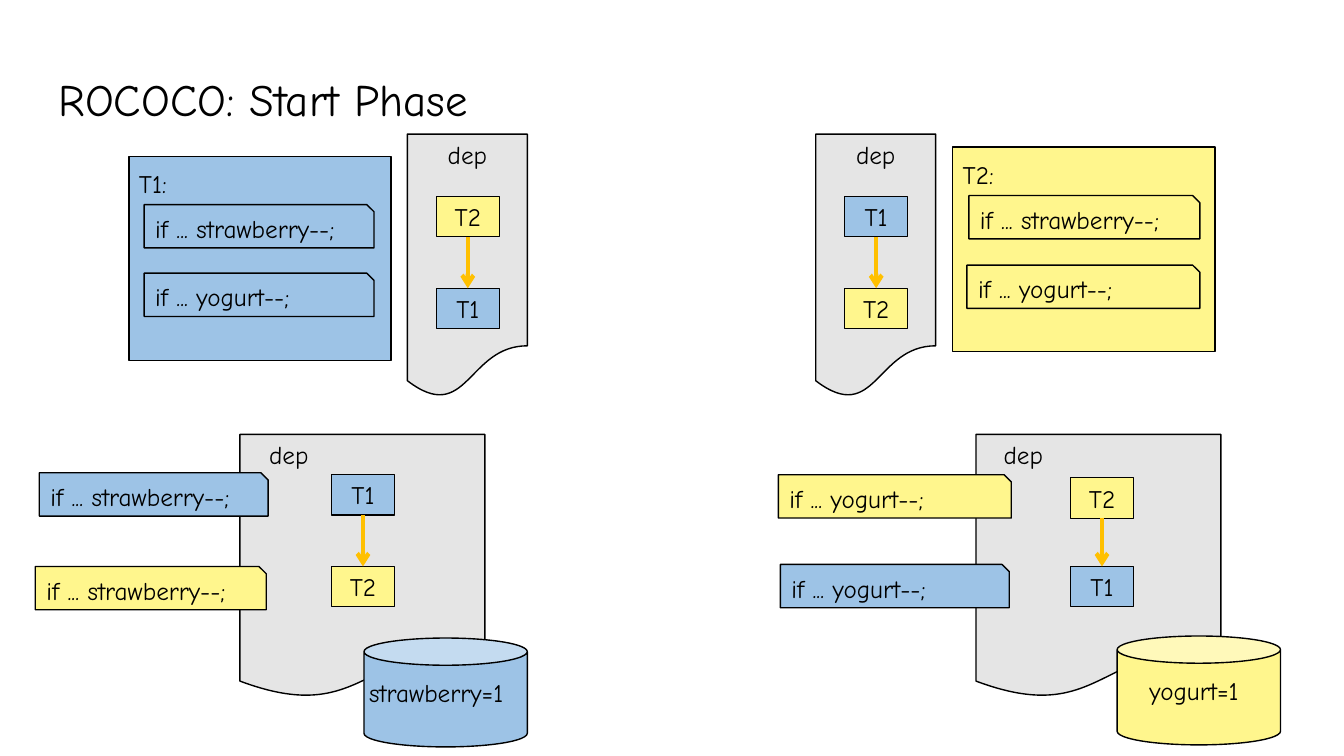
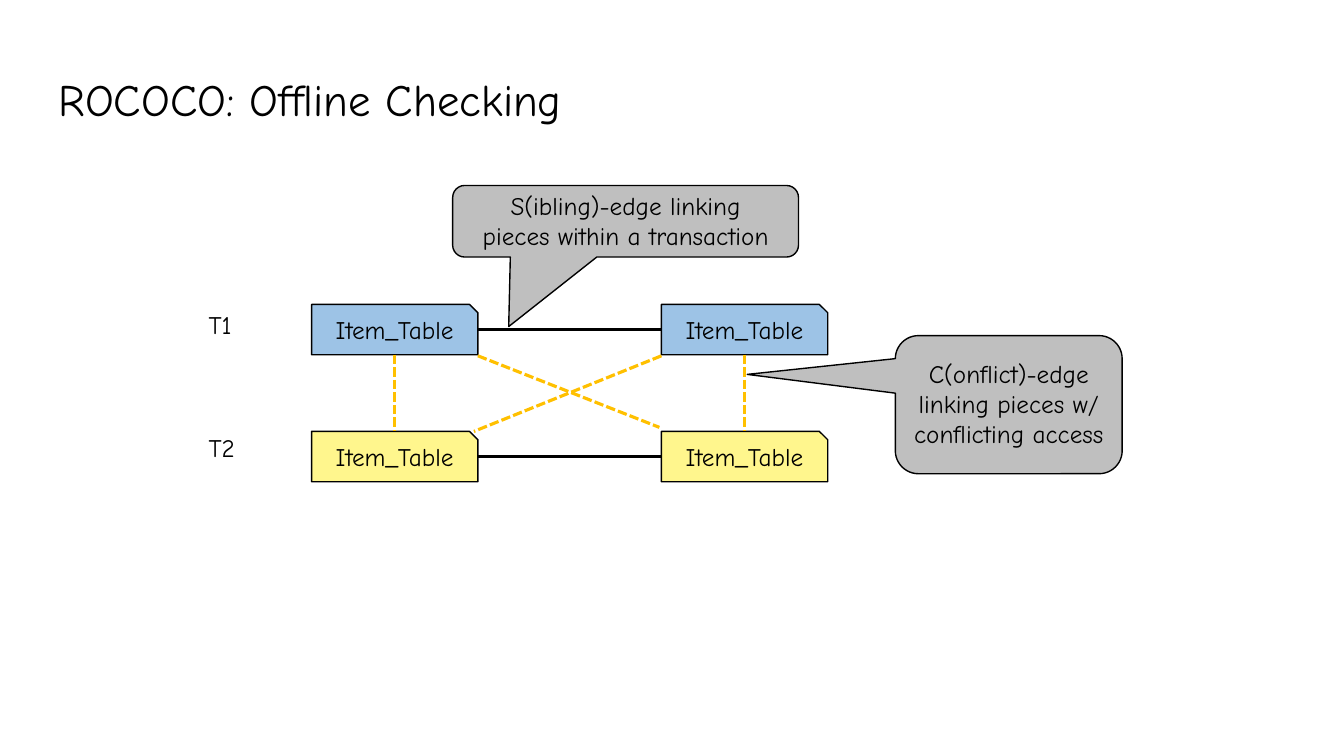
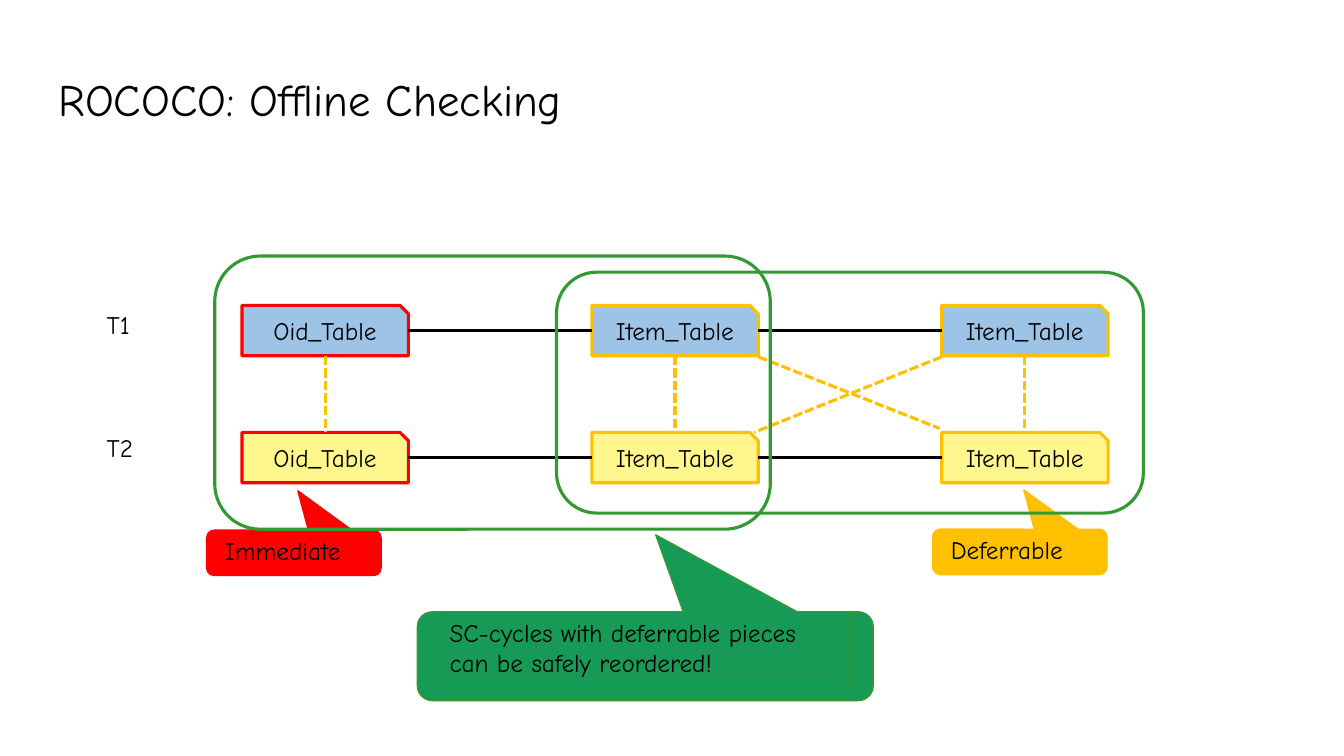
import dataclasses

import pptx
import pptx.dml.color
import pptx.enum.dml
import pptx.enum.shapes
import pptx.enum.text
import pptx.oxml
import pptx.oxml.ns
import pptx.util

Inches = pptx.util.Inches
Pt = pptx.util.Pt
SHAPE = pptx.enum.shapes.MSO_SHAPE
ALIGN = pptx.enum.text.PP_ALIGN
ANCHOR = pptx.enum.text.MSO_ANCHOR
TOP, LEFT, BOTTOM, RIGHT = range(4)


@dataclasses.dataclass(frozen=True)
class Theme:
    font: str = "Comic Neue"
    title_size: int = 32
    body_size: int = 18
    black: str = "000000"
    blue: str = "9DC3E6"
    yellow: str = "FFF68D"
    paper: str = "E5E5E5"
    gray: str = "BFBFBF"
    amber: str = "FFC000"
    red: str = "FF0000"
    green: str = "169A55"
    green_line: str = "339933"
    thin: float = 0.75
    normal: float = 1
    thick: float = 2.25
    arrow: float = 3


THEME = Theme()
FILLS = {"T1": THEME.blue, "T2": THEME.yellow}

# Start phase: left, top, width, label width, node left, node tops, node order
DEP_SHEETS = [
    (8.09, 1.33, 1.19, 1.19, 8.38, (1.95, 2.86), ("T1", "T2")),
    (9.68, 4.31, 2.43, 0.94, 10.62, (4.74, 5.62), ("T2", "T1")),
    (2.38, 4.31, 2.43, 0.97, 3.29, (4.71, 5.62), ("T1", "T2")),
    (4.04, 1.33, 1.19, 1.19, 4.33, (1.95, 2.86), ("T2", "T1")),
]
# left, top, transaction
TRANSACTIONS = [(1.28, 1.55, "T1"), (9.45, 1.46, "T2")]
# left, top, width, transaction, item
STEPS = [
    (1.43, 2.03, 2.28, "T1", "strawberry"),
    (1.43, 2.71, 2.28, "T1", "yogurt"),
    (9.61, 1.94, 2.29, "T2", "strawberry"),
    (9.59, 2.63, 2.31, "T2", "yogurt"),
    (0.39, 4.69, 2.27, "T1", "strawberry"),
    (0.35, 5.62, 2.29, "T2", "strawberry"),
    (7.72, 4.71, 2.31, "T2", "yogurt"),
    (7.74, 5.6, 2.27, "T1", "yogurt"),
]
# left, top, text indent, fill, text
STORES = [
    (3.61, 6.33, 0.05, THEME.blue, "strawberry=1"),
    (11.08, 6.31, 0.32, THEME.yellow, "yogurt=1"),
]

# Offline checking: table name and outline of each column
TWO_PIECES = [("Item_Table", THEME.black)] * 2
THREE_PIECES = [("Oid_Table", THEME.red)] + [("Item_Table", THEME.amber)] * 2
PIECE_WIDTH, PIECE_HEIGHT, COLUMN_STEP = 1.65, 0.5, 3.47
ROW_LABEL_TOPS = {"T1": 3.02, "T2": 4.24}

# left, top, width, height, pointer, fill, lines
EDGE_NOTES = [
    (4.49, 1.84, 3.43, 0.71, (-0.338, 1.472), THEME.gray,
     ["S(ibling)-edge linking", "pieces within a transaction"]),
    (8.88, 3.33, 2.25, 1.37, (-1.153, -0.219), THEME.gray,
     ["C(onflict)-edge", "linking pieces w/", "conflicting access"]),
]
KIND_NOTES = [
    (2.05, 5.26, 1.73, 0.45, THEME.red, "Immediate"),
    (9.25, 5.25, 1.73, 0.45, THEME.amber, "Deferrable"),
]
CYCLES = [(5.52, 2.7, 5.82, 2.39), (2.13, 2.54, 5.51, 2.71)]
CYCLE_NOTE = ["SC-cycles with deferrable pieces", "can be safely reordered!"]
UPWARD = (0.023, -1.368)


def rgb(value):
    return pptx.dml.color.RGBColor.from_string(value)


def style_text(box, lines, align=ALIGN.LEFT, anchor=ANCHOR.MIDDLE,
               margins=(0.1, 0.05, 0.1, 0.05), size=THEME.body_size):
    """Write lines as paragraphs; margins are left, top, right, bottom."""
    frame = box.text_frame
    frame.word_wrap = True
    frame.auto_size = pptx.enum.text.MSO_AUTO_SIZE.NONE
    frame.vertical_anchor = anchor
    (frame.margin_left, frame.margin_top,
     frame.margin_right, frame.margin_bottom) = map(Inches, margins)
    for index, line in enumerate(lines):
        para = frame.add_paragraph() if index else frame.paragraphs[0]
        para.text = line
        para.alignment = align
        para.font.name = THEME.font
        para.font.size = Pt(size)
        para.font.color.rgb = rgb(THEME.black)


def add_box(page, kind, place, fill=None, line=THEME.black,
            weight=THEME.normal, lines=(), **text_style):
    box = page.shapes.add_shape(kind, *map(Inches, place))
    box.shadow.inherit = False
    if fill:
        box.fill.solid()
        box.fill.fore_color.rgb = rgb(fill)
    else:
        box.fill.background()
    box.line.color.rgb = rgb(line)
    box.line.width = Pt(weight)
    style_text(box, lines, **text_style)
    return box


def add_callout(page, place, pointer, fill, line, lines=(), **text_style):
    box = add_box(page, SHAPE.ROUNDED_RECTANGULAR_CALLOUT, place, fill, line,
                  lines=lines, **text_style)
    box.adjustments[0], box.adjustments[1] = pointer


def add_line(page, start, end, color, weight, dashed=False, arrow=False):
    line = page.shapes.add_connector(pptx.enum.shapes.MSO_CONNECTOR.STRAIGHT,
                                     *map(Inches, start + end))
    line.line.color.rgb = rgb(color)
    line.line.width = Pt(weight)
    if dashed:
        line.line.dash_style = pptx.enum.dml.MSO_LINE.SQUARE_DOT
    namespace = pptx.oxml.ns.nsdecls("a")
    if arrow:
        line.line._get_or_add_ln().append(
            pptx.oxml.parse_xml(f'<a:tailEnd {namespace} type="arrow"/>'))
    line._element.spPr.append(
        pptx.oxml.parse_xml(f"<a:effectLst {namespace}/>"))
    return line


def join(page, first, first_side, second, second_side, *style, **options):
    line = add_line(page, (0, 0), (1, 1), *style, **options)
    line.begin_connect(first, first_side)
    line.end_connect(second, second_side)


def add_page(deck, title):
    page = deck.slides.add_slide(deck.slide_layouts[5])
    box = page.shapes.title
    box.left, box.top, box.width, box.height = map(
        Inches, (0.45, 0.64, 7.81, 0.84))
    style_text(box, [title], anchor=ANCHOR.TOP, margins=(0.13,) * 4,
               size=THEME.title_size)
    box.text_frame.paragraphs[0].line_spacing = 0.9
    return page


def add_dep_sheet(page, left, top, width, label_width, node_left, tops, order):
    add_box(page, SHAPE.FLOWCHART_DOCUMENT, (left, top, width, 2.62),
            THEME.paper, lines=["dep"], align=ALIGN.CENTER, anchor=ANCHOR.TOP,
            margins=(0.1, 0.05, width - label_width + 0.1, 0.05))
    first, second = [
        add_box(page, SHAPE.RECTANGLE, (node_left, node_top, 0.62, 0.4),
                FILLS[name], weight=THEME.thin, lines=[name],
                align=ALIGN.CENTER)
        for node_top, name in zip(tops, order)]
    join(page, first, BOTTOM, second, TOP, THEME.amber, THEME.arrow, arrow=True)


def add_start_phase(deck):
    page = add_page(deck, "ROCOCO: Start Phase")
    for sheet in DEP_SHEETS:
        add_dep_sheet(page, *sheet)
    for left, top, name in TRANSACTIONS:
        add_box(page, SHAPE.RECTANGLE, (left, top, 2.6, 2.03), FILLS[name],
                lines=[f"{name}:"], anchor=ANCHOR.TOP,
                margins=(0.1, 0.12, 0.1, 0.05))
    for left, top, width, name, item in STEPS:
        add_box(page, SHAPE.SNIP_1_RECTANGLE, (left, top, width, 0.43),
                FILLS[name], lines=[f"if ... {item}--;"],
                margins=(0.11, 0.05, 0.05, 0.05))
    for left, top, indent, fill, text in STORES:
        add_box(page, SHAPE.CAN, (left, top, 1.62, 1.08), fill, lines=[text],
                margins=(indent, 0.05, 0, 0.19))


def add_piece_graph(page, label_left, first_left, row_tops, columns, crossed):
    """Draw two rows of pieces; crossed is the column left of the crossing."""
    for name, top in ROW_LABEL_TOPS.items():
        label = page.shapes.add_textbox(
            *map(Inches, (label_left, top, 0.94, 0.4)))
        style_text(label, [name], anchor=ANCHOR.TOP)

    lefts = [first_left + index * COLUMN_STEP for index in range(len(columns))]
    rows = [
        [add_box(page, SHAPE.SNIP_1_RECTANGLE,
                 (left, top, PIECE_WIDTH, PIECE_HEIGHT), FILLS[name], outline,
                 THEME.normal if outline == THEME.black else THEME.thick,
                 lines=[table], align=ALIGN.CENTER,
                 margins=(0.1, 0.05, 0.06, 0.09))
         for left, (table, outline) in zip(lefts, columns)]
        for name, top in zip(FILLS, row_tops)]

    # Sibling edges along rows, conflict edges between rows
    for row in rows:
        for first, second in zip(row, row[1:]):
            join(page, first, RIGHT, second, LEFT, THEME.black, THEME.thick)
    conflict = (THEME.amber, THEME.thick)
    for upper, lower in zip(*rows):
        join(page, upper, BOTTOM, lower, TOP, *conflict, dashed=True)
    near, far = lefts[crossed] + PIECE_WIDTH, lefts[crossed + 1]
    upper, lower = row_tops[0] + PIECE_HEIGHT + 0.01, row_tops[1]
    add_line(page, (far, upper), (near - 0.04, lower), *conflict, dashed=True)
    add_line(page, (near, upper), (far - 0.02, lower - 0.04), *conflict,
             dashed=True)


def add_edge_kinds(deck):
    page = add_page(deck, "ROCOCO: Offline Checking")
    add_piece_graph(page, 1.97, 3.09, (3.02, 4.28), TWO_PIECES, crossed=0)
    for *place, pointer, fill, lines in EDGE_NOTES:
        add_callout(page, place, pointer, fill, THEME.black, lines,
                    align=ALIGN.CENTER, margins=(0.02, 0.02, 0.02, 0.04))


def add_cycles(deck):
    page = add_page(deck, "ROCOCO: Offline Checking")
    add_piece_graph(page, 0.96, 2.4, (3.03, 4.29), THREE_PIECES, crossed=1)
    for *place, fill, text in KIND_NOTES:
        add_callout(page, place, UPWARD, fill, fill, [text],
                    margins=(0.16, 0, 0.05, 0.05))
    for place in CYCLES:
        add_box(page, SHAPE.ROUNDED_RECTANGLE, place, line=THEME.green_line,
                weight=THEME.thick)
    add_callout(page, (4.14, 6.07, 4.52, 0.88), UPWARD, THEME.green,
                THEME.green_line)
    add_box(page, SHAPE.RECTANGLE, (4.36, 6.07, 4.08, 0.71), THEME.green,
            THEME.green_line, THEME.thin, CYCLE_NOTE)


def main():
    deck = pptx.Presentation()
    deck.slide_width, deck.slide_height = Inches(13.33), Inches(7.5)
    add_start_phase(deck)
    add_edge_kinds(deck)
    add_cycles(deck)
    deck.save("out.pptx")


if __name__ == "__main__":
    main()
